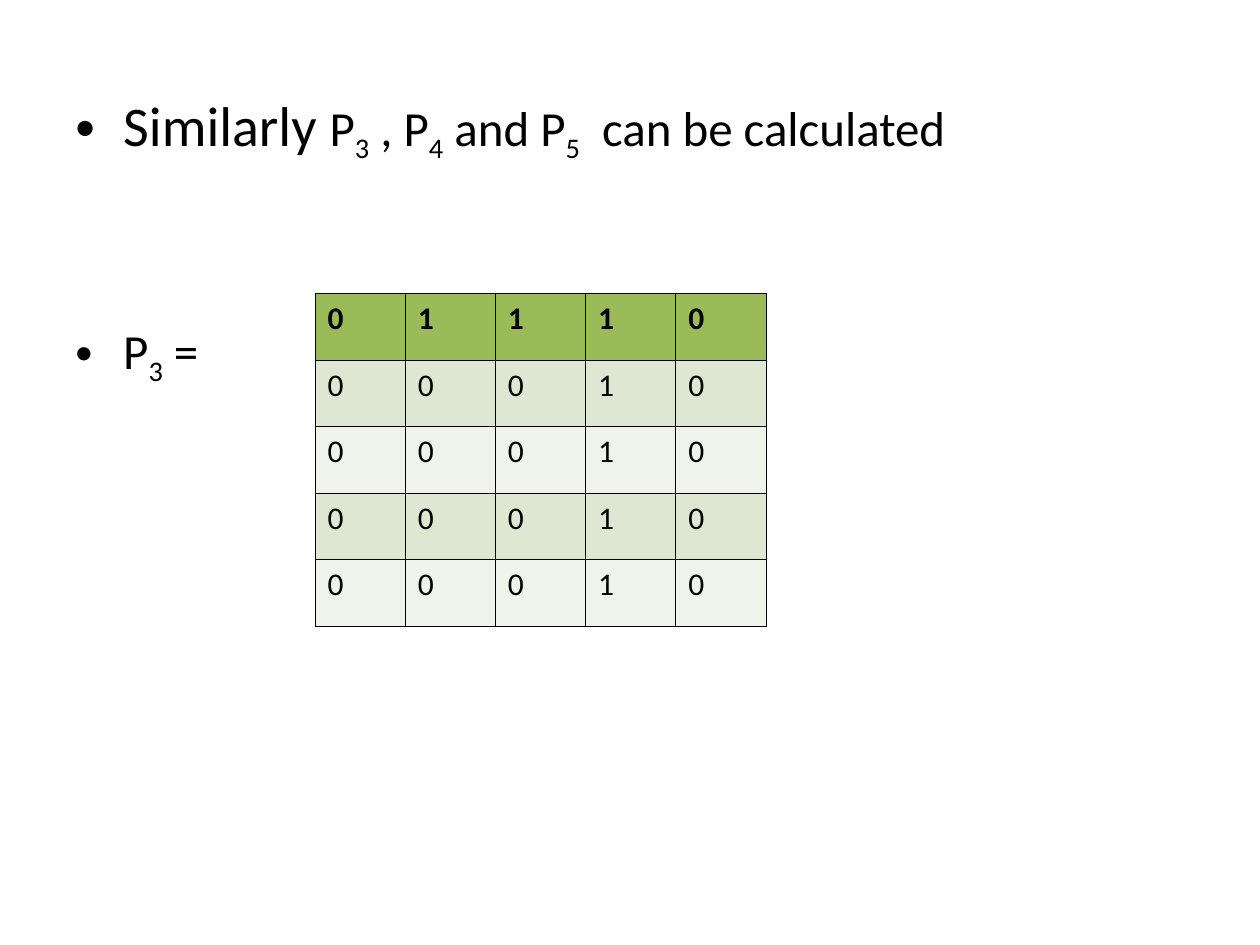
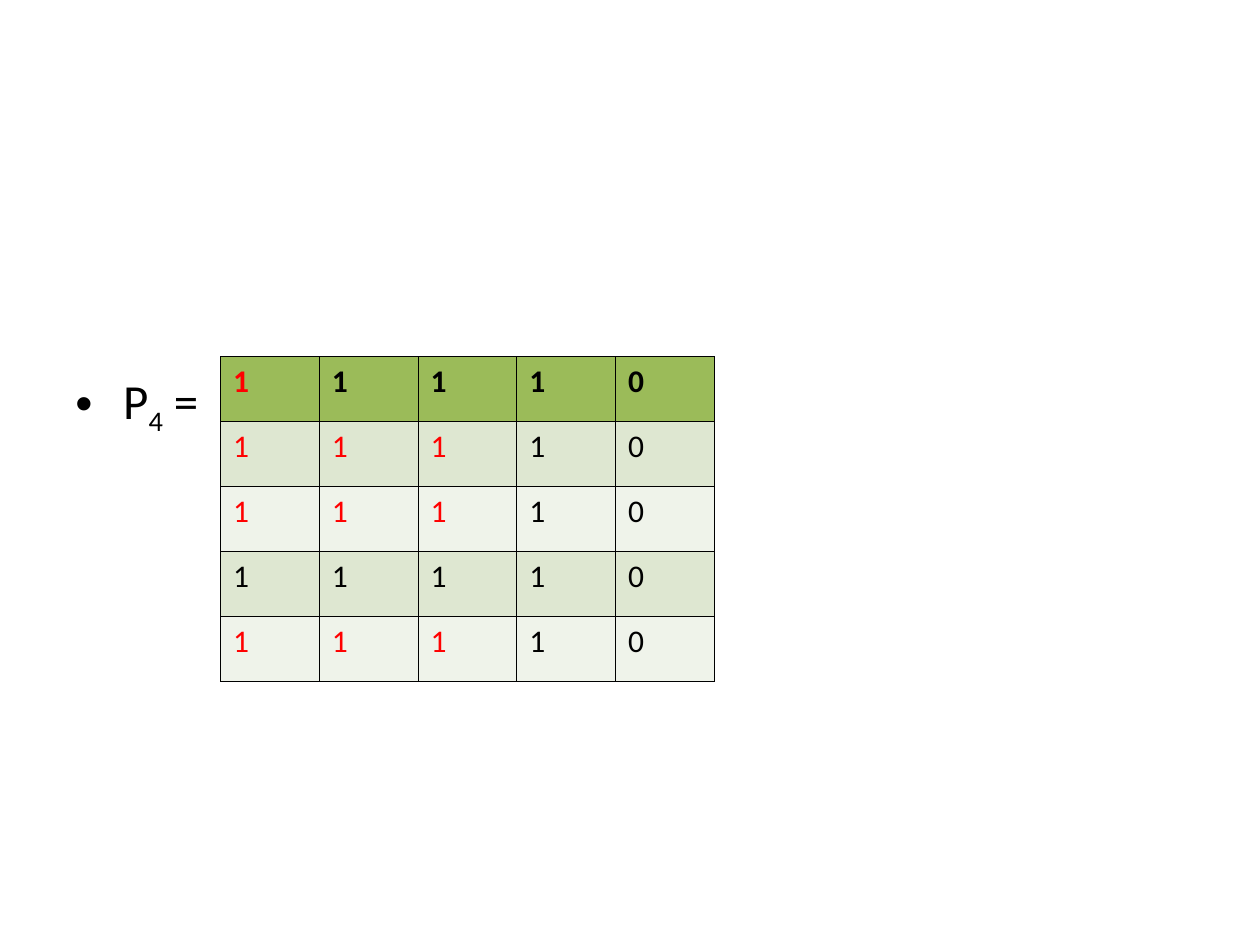
from lxml import etree
from pptx import Presentation
from pptx.dml.color import RGBColor
from pptx.oxml.ns import qn
from pptx.util import Inches, Pt

FONT = "Calibri"
BLACK = RGBColor(0x00, 0x00, 0x00)
RED = RGBColor(0xFF, 0x00, 0x00)
HEADER = RGBColor(0x9B, 0xBB, 0x59)
BANDS = (RGBColor(0xEF, 0xF3, 0xEA), RGBColor(0xDE, 0xE7, 0xD1))
BORDER_WIDTH = Pt(0.45)


def add_run(p, text, size=28, color=BLACK, bold=False, sub=False):
    r = p.add_run()
    r.text = text
    r.font.name = FONT
    r.font.size = Pt(size)
    r.font.bold = bold
    r.font.color.rgb = color
    if sub:
        r._r.get_or_add_rPr().set("baseline", "-25000")


def set_bullet(p):
    pPr = p._p.get_or_add_pPr()
    pPr.set("marL", str(Inches(0.38)))
    pPr.set("indent", str(Inches(-0.38)))
    etree.SubElement(pPr, qn("a:buFont")).set("typeface", "Arial")
    etree.SubElement(pPr, qn("a:buChar")).set("char", "•")


def add_bullets(s, left, top, width, height, bullets, gap=0, inset_top=0.05):
    tf = s.shapes.add_textbox(Inches(left), Inches(top), Inches(width), Inches(height)).text_frame
    tf.word_wrap = True
    tf.margin_top = Inches(inset_top)
    for i, runs in enumerate(bullets):
        p = tf.add_paragraph() if i else tf.paragraphs[0]
        set_bullet(p)
        if i:
            p.space_before = Pt(gap)
        for text, style in runs:
            add_run(p, text, **style)


def with_subscripts(text):
    parts = text.split("_")
    runs = [(parts[0], {})]
    for part in parts[1:]:
        runs.append((part[0], {"sub": True}))
        runs.append((part[1:], {}))
    return runs


def set_borders(cell):
    tcPr = cell._tc.get_or_add_tcPr()
    for side in ("lnL", "lnR", "lnT", "lnB"):
        ln = etree.SubElement(tcPr, qn(f"a:{side}"), w=str(BORDER_WIDTH))
        fill = etree.SubElement(ln, qn("a:solidFill"))
        etree.SubElement(fill, qn("a:srgbClr"), val=str(BLACK))


def add_matrix(s, left, top, width, height, rows, red_counts):
    n = len(rows)
    table = s.shapes.add_table(n, n, Inches(left), Inches(top), Inches(width), Inches(height)).table
    for i, row in enumerate(rows):
        table.rows[i].height = Inches(height / n)
        table.columns[i].width = Inches(width / n)
        for j, digit in enumerate(row):
            cell = table.cell(i, j)
            set_borders(cell)
            cell.fill.solid()
            cell.fill.fore_color.rgb = BANDS[i % 2] if i else HEADER
            color = RED if j < red_counts[i] else BLACK
            add_run(cell.text_frame.paragraphs[0], digit, size=18, color=color, bold=i == 0)


def main():
    prs = Presentation()
    prs.slide_width, prs.slide_height = Inches(10), Inches(7.5)
    blank = prs.slide_layouts[6]

    s = prs.slides.add_slide(blank)
    intro = [("Similarly ", {"size": 32})] + with_subscripts("P_3 , P_4 and P_5  can be calculated")
    add_bullets(s, 0.5, 0.67, 8.86, 5.9, [intro, with_subscripts("P_3 =")], gap=89)
    add_matrix(s, 2.5, 2.33, 3.58, 2.64, ["01110"] + ["00010"] * 4, (0, 0, 0, 0, 0))

    s = prs.slides.add_slide(blank)
    add_bullets(s, 0.5, 1.75, 9, 4.95, [with_subscripts("P_4 =")], inset_top=1.19)
    add_matrix(s, 1.75, 2.83, 3.92, 2.58, ["11110"] * 5, (1, 3, 3, 0, 3))

    prs.save("out.pptx")


if __name__ == "__main__":
    main()
